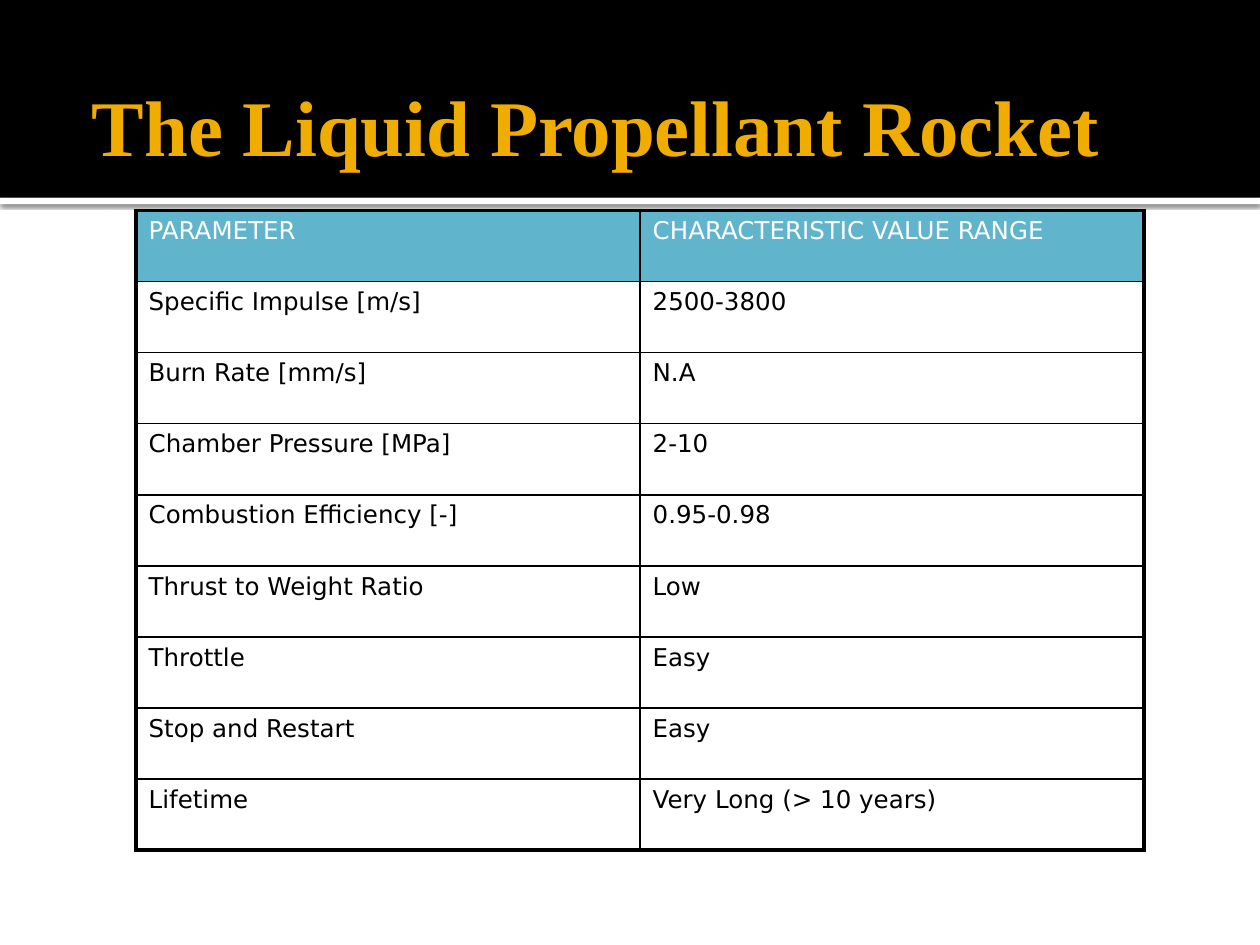
from lxml import etree
from pptx import Presentation
from pptx.dml.color import RGBColor
from pptx.enum.shapes import MSO_SHAPE
from pptx.enum.text import MSO_ANCHOR, PP_ALIGN
from pptx.oxml.ns import qn
from pptx.util import Inches, Pt

RECTANGLE = MSO_SHAPE.RECTANGLE
MIDDLE = MSO_ANCHOR.MIDDLE
LEFT = PP_ALIGN.LEFT

BLACK = RGBColor(0x00, 0x00, 0x00)
WHITE = RGBColor(0xFF, 0xFF, 0xFF)
AMBER = RGBColor(0xF0, 0xAD, 0x00)
TEAL = RGBColor(0x60, 0xB5, 0xCC)

# Content
TITLE = "The Liquid Propellant Rocket"
ROWS = [
    ("PARAMETER", "CHARACTERISTIC VALUE RANGE"),
    ("Specific Impulse [m/s]", "2500-3800"),
    ("Burn Rate [mm/s]", "N.A"),
    ("Chamber Pressure [MPa]", "2-10"),
    ("Combustion Efficiency [-]", "0.95-0.98"),
    ("Thrust to Weight Ratio", "Low"),
    ("Throttle", "Easy"),
    ("Stop and Restart", "Easy"),
    ("Lifetime", "Very Long (> 10 years)"),
]
TABLE_WIDTH, TABLE_HEIGHT = 8, 5.08
OUTER_LINE, INNER_LINE = 2.25, 1


def add_band(slide, top, height, color):
    band = slide.shapes.add_shape(
        RECTANGLE, 0, Inches(top), Inches(10), Inches(height))
    band.shadow.inherit = False
    band.fill.solid()
    band.fill.fore_color.rgb = color
    band.line.fill.background()
    return band


def add_shadow(shape, blur, distance, alpha):
    effects = shape._element.spPr.find(qn("a:effectLst"))
    shadow = etree.SubElement(
        effects, qn("a:outerShdw"), blurRad=str(Pt(blur)),
        dist=str(Pt(distance)), dir="5400000", algn="t", rotWithShape="0")
    color = etree.SubElement(shadow, qn("a:srgbClr"), val=str(BLACK))
    etree.SubElement(color, qn("a:alpha"), val=str(alpha * 1000))


def set_borders(cell, widths):
    properties = cell._tc.get_or_add_tcPr()
    for index, (side, width) in enumerate(widths.items()):
        line = etree.Element(qn(f"a:ln{side}"), w=str(Pt(width)))
        fill = etree.SubElement(line, qn("a:solidFill"))
        etree.SubElement(fill, qn("a:srgbClr"), val=str(BLACK))
        properties.insert(index, line)


def format_run(run, font_name, size, color, bold=False):
    run.font.name = font_name
    run.font.size = Pt(size)
    run.font.color.rgb = color
    run.font.bold = bold


presentation = Presentation()
presentation.slide_width = Inches(10)
presentation.slide_height = Inches(7.5)
slide = presentation.slides.add_slide(presentation.slide_layouts[5])

# Header bands
stripe = add_band(slide, 1.57, 0.05, WHITE)
add_shadow(stripe, blur=2.5, distance=0.8, alpha=60)
add_band(slide, 0, 1.57, BLACK)

# Title, brought in front of the bands
title = slide.shapes.title
slide.shapes._spTree.append(title._element)
title.left, title.top = Inches(0.63), Inches(0.33)
title.width, title.height = Inches(8.75), Inches(1.33)
frame = title.text_frame
frame.text = TITLE
frame.vertical_anchor = MIDDLE
frame.margin_left = Inches(0.1)
frame.margin_right = frame.margin_top = frame.margin_bottom = Inches(0.05)
frame.paragraphs[0].alignment = LEFT
format_run(frame.paragraphs[0].runs[0], "Times New Roman", 45, AMBER, bold=True)

# Parameter table
last_row, last_column = len(ROWS) - 1, len(ROWS[0]) - 1
table = slide.shapes.add_table(
    len(ROWS), len(ROWS[0]), Inches(1.08), Inches(1.67),
    Inches(TABLE_WIDTH), Inches(TABLE_HEIGHT)).table
table.first_row = False
table.horz_banding = False
for row_index, row in enumerate(ROWS):
    is_header = row_index == 0
    for column_index, text in enumerate(row):
        cell = table.cell(row_index, column_index)
        cell.text = text
        format_run(cell.text_frame.paragraphs[0].runs[0], "DejaVu Sans", 14,
                   WHITE if is_header else BLACK)
        if is_header:
            cell.fill.solid()
            cell.fill.fore_color.rgb = TEAL
        else:
            cell.fill.background()
        on_edge = {
            "L": column_index == 0,
            "R": column_index == last_column,
            "T": is_header,
            "B": row_index == last_row,
        }
        set_borders(cell, {side: OUTER_LINE if edge else INNER_LINE
                           for side, edge in on_edge.items()})

presentation.save("out.pptx")
